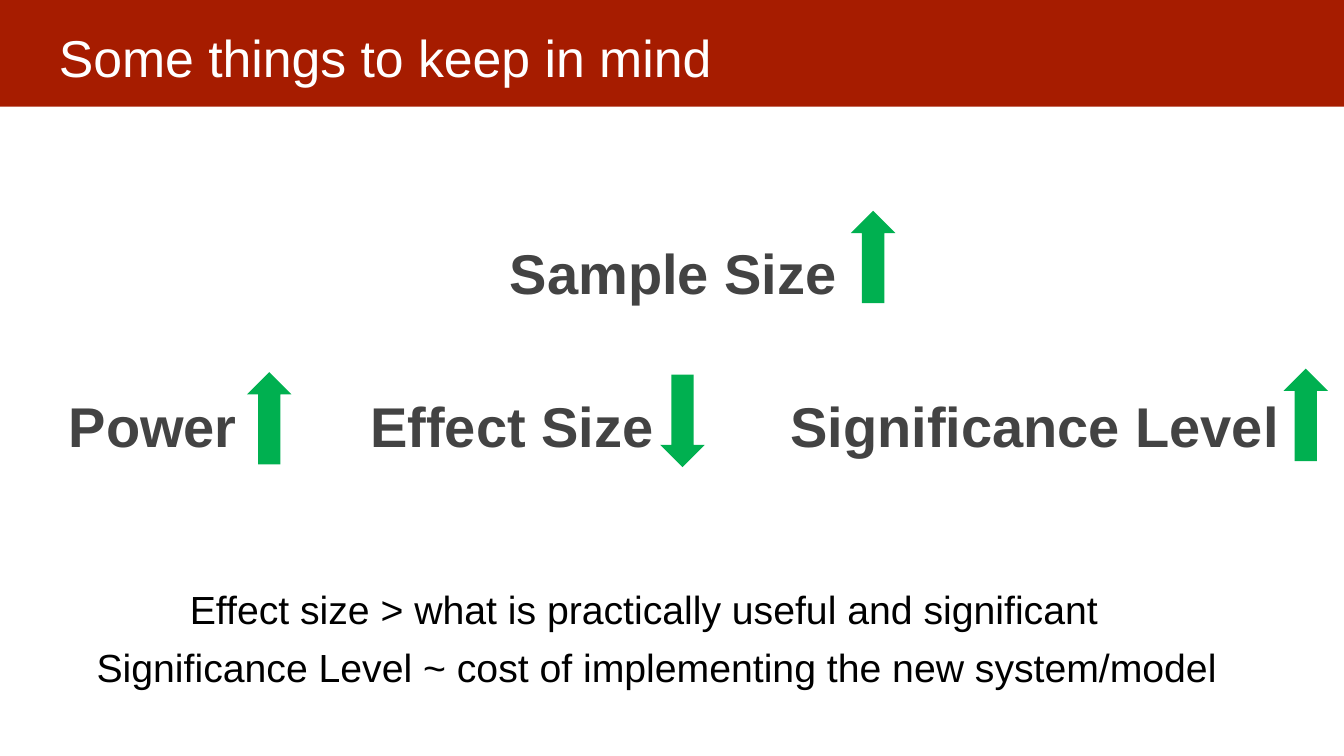
from dataclasses import dataclass

from pptx import Presentation
from pptx.dml.color import RGBColor
from pptx.enum.shapes import MSO_SHAPE as Preset
from pptx.enum.text import MSO_ANCHOR as Anchor
from pptx.util import Inches, Pt

WIDTH, HEIGHT = Inches(13.33), Inches(7.5)
COLUMNS, ROWS = 160, 90


@dataclass(frozen=True)
class Theme:
    font: str = "Arial"
    band: str = "A61C00"
    title: str = "FFFFFF"
    factor: str = "434343"
    note: str = "000000"
    arrow: str = "00B050"
    title_size: int = 37
    factor_size: int = 40
    note_size: int = 28


THEME = Theme()

# Factor: label, left, top, width, arrow left, arrow top, arrow rotation
FACTORS = [
    ("Sample Size", 60.7, 28.4, 40, 101.3, 25.1, 0),
    ("Power", 8.2, 46.6, 21, 29.4, 44.3, 0),
    ("Effect Size", 44.1, 46.6, 35, 78.6, 44.6, 180),
    ("Significance Level", 94.1, 46.6, 60, 152.8, 43.9, 0),
]

# Note: wording, left, top, width
NOTES = [
    ("Effect size > what is practically useful and significant", 21.4, 69.1, 112),
    ("Significance Level ~ cost of implementing the new system/model", 10.3, 76, 137.5),
]


def across(columns):
    return round(WIDTH * columns / COLUMNS)


def down(rows):
    return round(HEIGHT * rows / ROWS)


def place(left, top, width, height):
    return across(left), down(top), across(width), down(height)


def add_filled(slide, preset, area, color, rotation=0):
    figure = slide.shapes.add_shape(preset, *place(*area))
    figure.fill.solid()
    figure.fill.fore_color.rgb = RGBColor.from_string(color)
    figure.line.fill.background()
    figure.shadow.inherit = False
    figure.rotation = rotation


def add_words(slide, words, area, size, color, inset=0, bold=False):
    frame = slide.shapes.add_textbox(*place(*area)).text_frame
    frame.word_wrap = True
    frame.vertical_anchor = Anchor.MIDDLE
    frame.margin_left = frame.margin_right = across(inset)
    frame.margin_top = frame.margin_bottom = 0
    frame.text = words
    font = frame.paragraphs[0].runs[0].font
    font.name = THEME.font
    font.size = Pt(size)
    font.bold = bold
    font.color.rgb = RGBColor.from_string(color)


def add_factor(slide, label, left, top, width, arrow_left, arrow_top, rotation):
    add_words(slide, label, (left, top, width, 8),
              THEME.factor_size, THEME.factor, bold=True)
    add_filled(slide, Preset.UP_ARROW, (arrow_left, arrow_top, 5.3, 11),
               THEME.arrow, rotation)


def main():
    deck = Presentation()
    deck.slide_width, deck.slide_height = WIDTH, HEIGHT
    slide = deck.slides.add_slide(deck.slide_layouts[6])

    # Title band
    add_filled(slide, Preset.RECTANGLE, (0, 0, COLUMNS, 12.7), THEME.band)
    add_words(slide, "Some things to keep in mind", (5.4, 1.8, 149, 10),
              THEME.title_size, THEME.title, inset=1.6)

    # Factors with the direction each one moves
    for factor in FACTORS:
        add_factor(slide, *factor)

    # Closing notes
    for words, left, top, width in NOTES:
        add_words(slide, words, (left, top, width, 6.8),
                  THEME.note_size, THEME.note, inset=1.2)

    deck.save("out.pptx")


if __name__ == "__main__":
    main()
